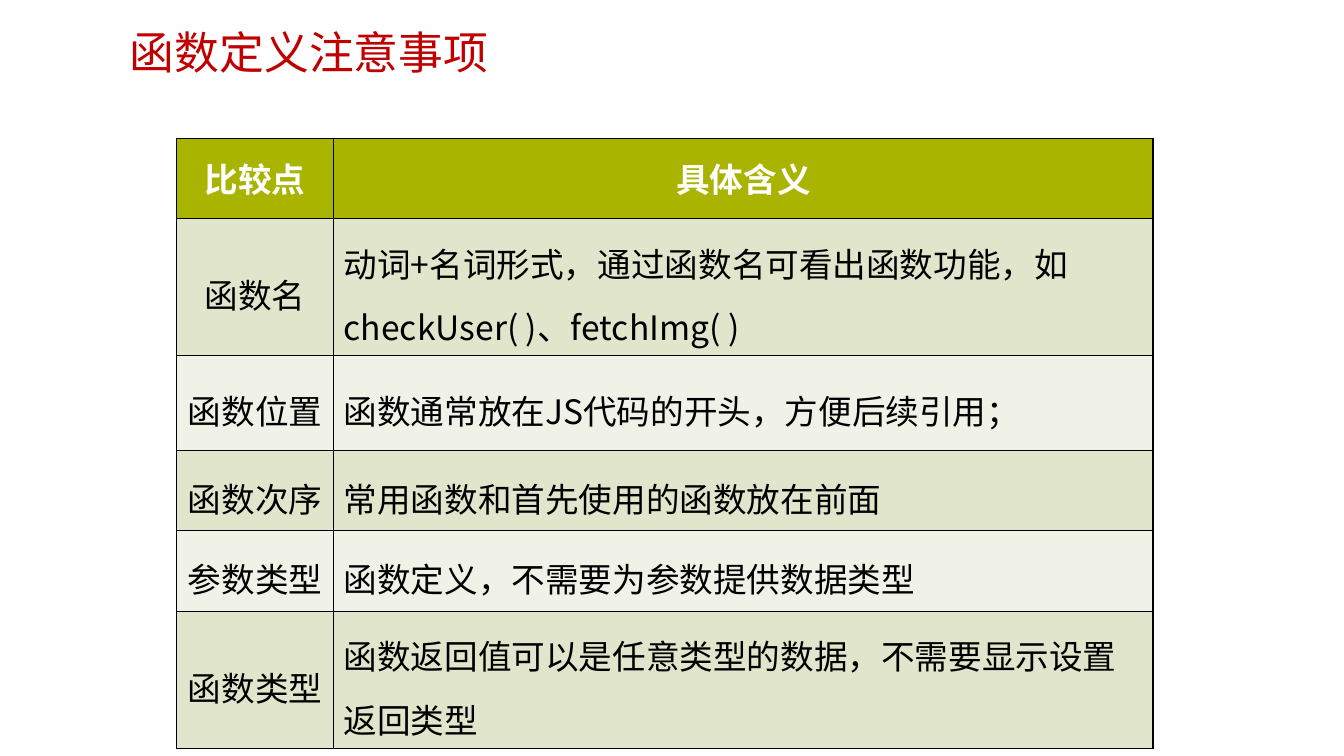
from dataclasses import dataclass

from lxml.etree import SubElement
from pptx import Presentation
from pptx.dml.color import RGBColor
from pptx.enum.text import MSO_ANCHOR as Anchor, MSO_AUTO_SIZE as AutoSize, PP_ALIGN as Align
from pptx.oxml import parse_xml
from pptx.oxml.ns import nsdecls, qn
from pptx.util import Cm, Pt


@dataclass(frozen=True)
class Theme:
    font: str = "Noto Sans CJK SC"
    title_size: int = 32
    table_size: int = 24
    title: str = "C00000"
    header: str = "A8B400"
    header_text: str = "FFFFFF"
    text: str = "000000"
    border: str = "000000"
    bands: tuple = ("E1E5CB", "F1F2E7")


THEME = Theme()
TITLE = "函数定义注意事项"
ROWS = [
    ("比较点", "具体含义"),
    ("函数名", "动词+名词形式，通过函数名可看出函数功能，如checkUser( )、fetchImg( )"),
    ("函数位置", "函数通常放在JS代码的开头，方便后续引用；"),
    ("函数次序", "常用函数和首先使用的函数放在前面"),
    ("参数类型", "函数定义，不需要为参数提供数据类型"),
    ("函数类型", "函数返回值可以是任意类型的数据，不需要显示设置返回类型"),
]
COLUMN_WIDTHS = (3.96, 20.65)
ROW_HEIGHTS = (2.03, 2.39, 2.39, 2.03, 2.03, 2.49)


def apply_format(target, values):
    for name, value in values.items():
        setattr(target, name, value)


def write_text(text_frame, text, size, color, bold, layout):
    paragraph = text_frame.paragraphs[0]
    apply_format(paragraph, layout)
    run = paragraph.add_run()
    run.text = text
    apply_format(run.font, {"name": THEME.font, "size": Pt(size), "bold": bold})
    run.font.color.rgb = RGBColor.from_string(color)
    SubElement(run.font._element, qn("a:ea"), typeface=THEME.font)


def add_title(slide):
    title = slide.shapes.title
    apply_format(title, {"left": Cm(3.02), "top": Cm(0.66), "width": Cm(22.76), "height": Cm(1.37)})
    apply_format(title.text_frame, {
        "word_wrap": True,
        "auto_size": AutoSize.NONE,
        "vertical_anchor": Anchor.TOP,
    })
    write_text(title.text_frame, TITLE, THEME.title_size, THEME.title, False,
               {"alignment": Align.LEFT, "line_spacing": 0.9})


def add_borders(cell):
    properties = cell._tc.get_or_add_tcPr()
    for index, side in enumerate(("lnL", "lnR", "lnT", "lnB")):
        properties.insert(index, parse_xml(
            f'<a:{side} {nsdecls("a")} w="{Pt(1)}"><a:solidFill>'
            f'<a:srgbClr val="{THEME.border}"/></a:solidFill></a:{side}>'))


def format_cell(cell, text, row, column):
    header = row == 0
    fill = THEME.header if header else THEME.bands[(row - 1) % 2]
    cell.fill.solid()
    cell.fill.fore_color.rgb = RGBColor.from_string(fill)
    cell.vertical_anchor = Anchor.MIDDLE
    add_borders(cell)
    centered = header or column == 0
    write_text(cell.text_frame, text, THEME.table_size,
               THEME.header_text if header else THEME.text, header,
               {"alignment": Align.CENTER if centered else Align.LEFT,
                "line_spacing": 1.0 if header else 1.3})


def add_comparison_table(slide):
    table = slide.shapes.add_table(
        len(ROWS), len(COLUMN_WIDTHS), Cm(4.45), Cm(3.48),
        Cm(sum(COLUMN_WIDTHS)), Cm(sum(ROW_HEIGHTS))).table
    for column, width in zip(table.columns, COLUMN_WIDTHS):
        column.width = Cm(width)
    for row, height in zip(table.rows, ROW_HEIGHTS):
        row.height = Cm(height)
    for row, texts in enumerate(ROWS):
        for column, text in enumerate(texts):
            format_cell(table.cell(row, column), text, row, column)


def main():
    presentation = Presentation()
    apply_format(presentation, {"slide_width": Cm(33.87), "slide_height": Cm(19.05)})
    slide = presentation.slides.add_slide(presentation.slide_layouts.get_by_name("Title Only"))
    add_comparison_table(slide)
    add_title(slide)
    presentation.save("out.pptx")


if __name__ == "__main__":
    main()
